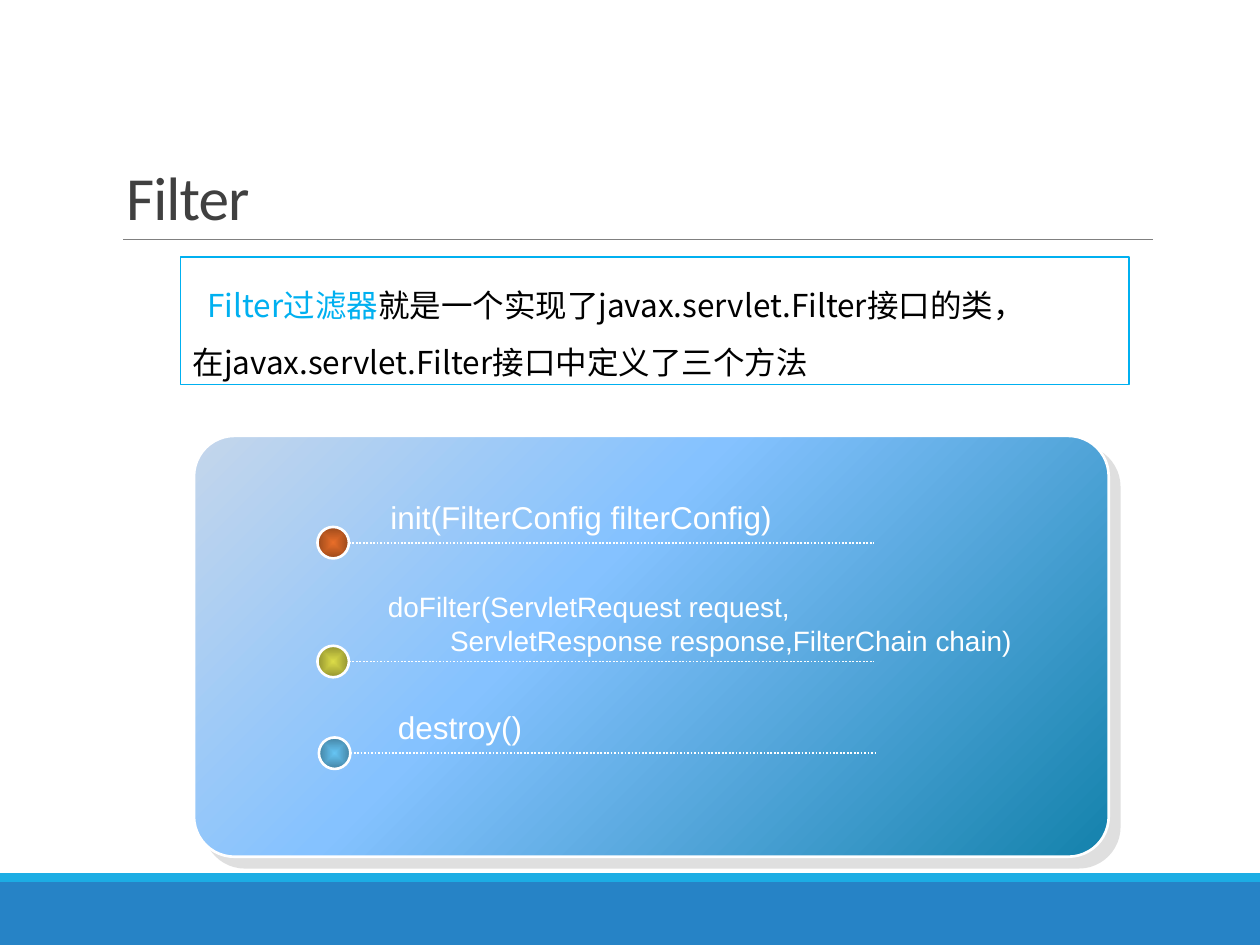
from lxml import etree
from pptx import Presentation
from pptx import util as u
from pptx.dml.color import RGBColor
from pptx.enum import dml, shapes, text
from pptx.oxml import parse_xml
from pptx.oxml.ns import nsdecls, qn

COLORS = {
    "white": "FFFFFF", "black": "000000", "title": "404040", "rule": "808080",
    "bar": "2683C6", "accent": "1CADE4", "key": "00B0F0", "shadow": "C0C0C0",
}
PANEL_STOPS = [(0, "C4D6EB"), (40, "85C2FF"), (100, "1482AC")]
LINEAR = '<a:lin ang="2700000" scaled="1"/>'
RADIAL = '<a:path path="shape"><a:fillToRect l="50000" t="50000" r="50000" b="50000"/></a:path>'


def rgb(name):
    return RGBColor.from_string(COLORS[name])


def write(paragraph, content, size=18, font="Arial", color="white", spacing=None):
    run = paragraph.add_run()
    run.text = content
    run.font.size = u.Pt(size)
    run.font.name = font
    run.font.color.rgb = rgb(color)
    props = run.font._element
    etree.SubElement(props, qn("a:ea")).set("typeface", font)
    if spacing is not None:
        props.set("spc", str(int(spacing * 100)))


def indent(paragraph, left=0, first=0):
    props = paragraph._p.get_or_add_pPr()
    props.set("marL", str(u.Pt(left)))
    props.set("indent", str(u.Pt(first)))


def fill_gradient(shape, stops, direction):
    marks = "".join(
        f'<a:gs pos="{pos * 1000}"><a:srgbClr val="{color}"/></a:gs>' for pos, color in stops)
    gradient = parse_xml(
        f'<a:gradFill {nsdecls("a")} rotWithShape="1"><a:gsLst>{marks}</a:gsLst>'
        f'{direction}</a:gradFill>')
    shape._element.spPr.find(qn("a:prstGeom")).addnext(gradient)


def cast_shadow(shape, color, distance):
    effects = shape._element.spPr.find(qn("a:effectLst"))
    effects.append(parse_xml(
        f'<a:outerShdw {nsdecls("a")} dist="{u.Pt(distance)}" dir="2700000" algn="ctr" '
        f'rotWithShape="0"><a:srgbClr val="{COLORS[color]}"><a:alpha val="50000"/>'
        f'</a:srgbClr></a:outerShdw>'))


class Deck:
    def __init__(self, width, height):
        self.file = Presentation()
        self.file.slide_width, self.file.slide_height = u.Pt(width), u.Pt(height)
        self.slide = self.file.slides.add_slide(self.file.slide_layouts[5])
        self.slide.background.fill.solid()
        self.slide.background.fill.fore_color.rgb = rgb("white")

    def title(self, content, left, top, width, height):
        heading = self.slide.shapes.title
        heading.left, heading.top = u.Pt(left), u.Pt(top)
        heading.width, heading.height = u.Pt(width), u.Pt(height)
        frame = heading.text_frame
        frame.auto_size = text.MSO_AUTO_SIZE.NONE
        frame.vertical_anchor = text.MSO_ANCHOR.BOTTOM
        paragraph = frame.paragraphs[0]
        paragraph.alignment = text.PP_ALIGN.LEFT
        paragraph.line_spacing = 0.85
        write(paragraph, content, 35, "Calibri", "title", -0.5)

    def shape(self, kind, box, fill=None, line=None, weight=1.5):
        item = self.slide.shapes.add_shape(kind, *map(u.Pt, box))
        item.shadow.inherit = False
        if fill:
            item.fill.solid()
            item.fill.fore_color.rgb = rgb(fill)
        if line:
            item.line.color.rgb = rgb(line)
            item.line.width = u.Pt(weight)
        else:
            item.line.fill.background()
        return item

    def rule(self, x1, x2, y, color, weight, dash=None):
        item = self.slide.shapes.add_connector(
            shapes.MSO_CONNECTOR.STRAIGHT, *map(u.Pt, (x1, y, x2, y)))
        item.line.color.rgb = rgb(color)
        item.line.width = u.Pt(weight)
        if dash:
            item.line.dash_style = dash
        etree.SubElement(item._element.spPr, qn("a:effectLst"))

    def bullet_line(self, left, middle, stops, size=18, length=300.3):
        self.rule(left + size, left + size + length, middle, "white", 1,
                  dml.MSO_LINE.ROUND_DOT)
        dot = self.shape(shapes.MSO_SHAPE.OVAL, (left, middle - size / 2, size, size),
                         line="white")
        fill_gradient(dot, stops, RADIAL)

    def label(self, lines, box, size):
        frame = self.slide.shapes.add_textbox(*map(u.Pt, box)).text_frame
        frame.word_wrap = True
        for number, content in enumerate(lines):
            paragraph = frame.add_paragraph() if number else frame.paragraphs[0]
            indent(paragraph, 35.5 * number)
            write(paragraph, content, size)

    def definition(self, lines, box):
        frame = self.shape(shapes.MSO_SHAPE.RECTANGLE, box, "white", "key", 0.75).text_frame
        frame.word_wrap = True
        frame.vertical_anchor = text.MSO_ANCHOR.TOP
        frame.margin_top = u.Pt(5.5)
        frame.margin_bottom = 0
        for number, (first, runs) in enumerate(lines):
            paragraph = frame.add_paragraph() if number else frame.paragraphs[0]
            paragraph.alignment = text.PP_ALIGN.LEFT
            paragraph.line_spacing = u.Pt(32.5)
            indent(paragraph, first=first)
            for content, color in runs:
                write(paragraph, content, 18, "Noto Sans CJK SC", color)


def main():
    deck = Deck(720, 540)
    deck.shape(shapes.MSO_SHAPE.RECTANGLE, (0, 504, 720, 36), "bar")
    deck.shape(shapes.MSO_SHAPE.RECTANGLE, (0, 499, 720, 5), "accent")
    deck.rule(70.5, 658.8, 136.8, "rule", 0.5)
    deck.title("Filter", 64.8, 22.3, 594, 114.5)

    deck.definition([
        (8.5, [("Filter过滤器", "key"), ("就是一个实现了javax.servlet.Filter接口的类，", "black")]),
        (0, [("在javax.servlet.Filter接口中定义了三个方法", "black")]),
    ], (103, 146.9, 542.2, 72.7))

    panel = deck.shape(shapes.MSO_SHAPE.ROUNDED_RECTANGLE, (110.9, 249.1, 522.7, 240.5),
                       line="white")
    panel.adjustments[0] = 0.096
    fill_gradient(panel, PANEL_STOPS, LINEAR)
    cast_shadow(panel, "shadow", 8.5)

    methods = [
        (["init(FilterConfig filterConfig)"], (216, 280.8, 238, 28.8), 18,
         181.4, 310.1, "E96E29", "9B491B"),
        (["doFilter(ServletRequest request,", "ServletResponse response,FilterChain chain)"],
         (214.6, 333.4, 384.5, 46), 16, 181.4, 378, "DCDC48", "939330"),
        (["destroy()"], (220.3, 401, 148, 28.8), 18, 182.2, 430.4, "66C5F4", "4483A3"),
    ]
    for lines, box, size, dot_left, middle, inner, outer in methods:
        deck.bullet_line(dot_left, middle, [(0, inner), (100, outer)])
        deck.label(lines, box, size)

    deck.file.save("out.pptx")


if __name__ == "__main__":
    main()
